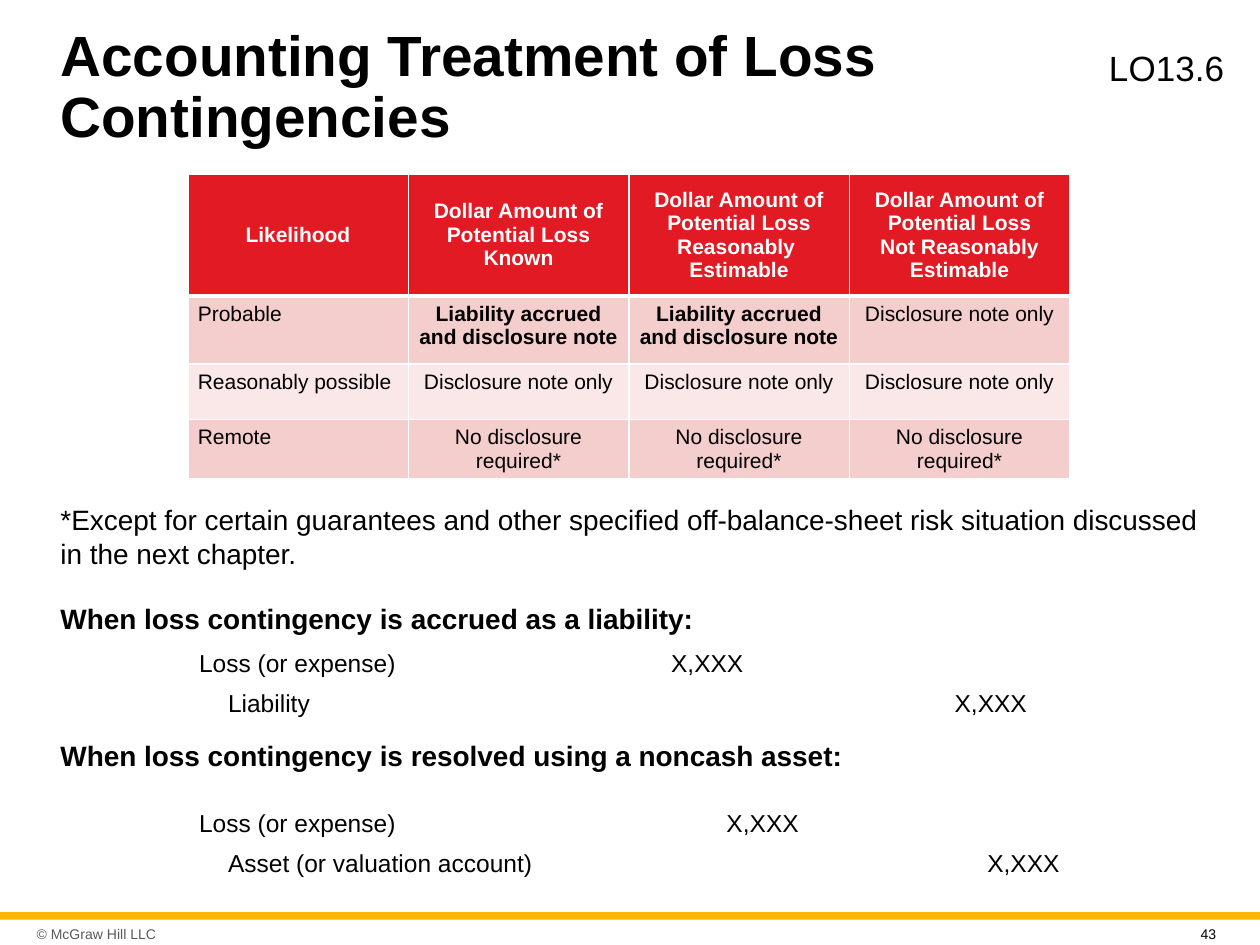
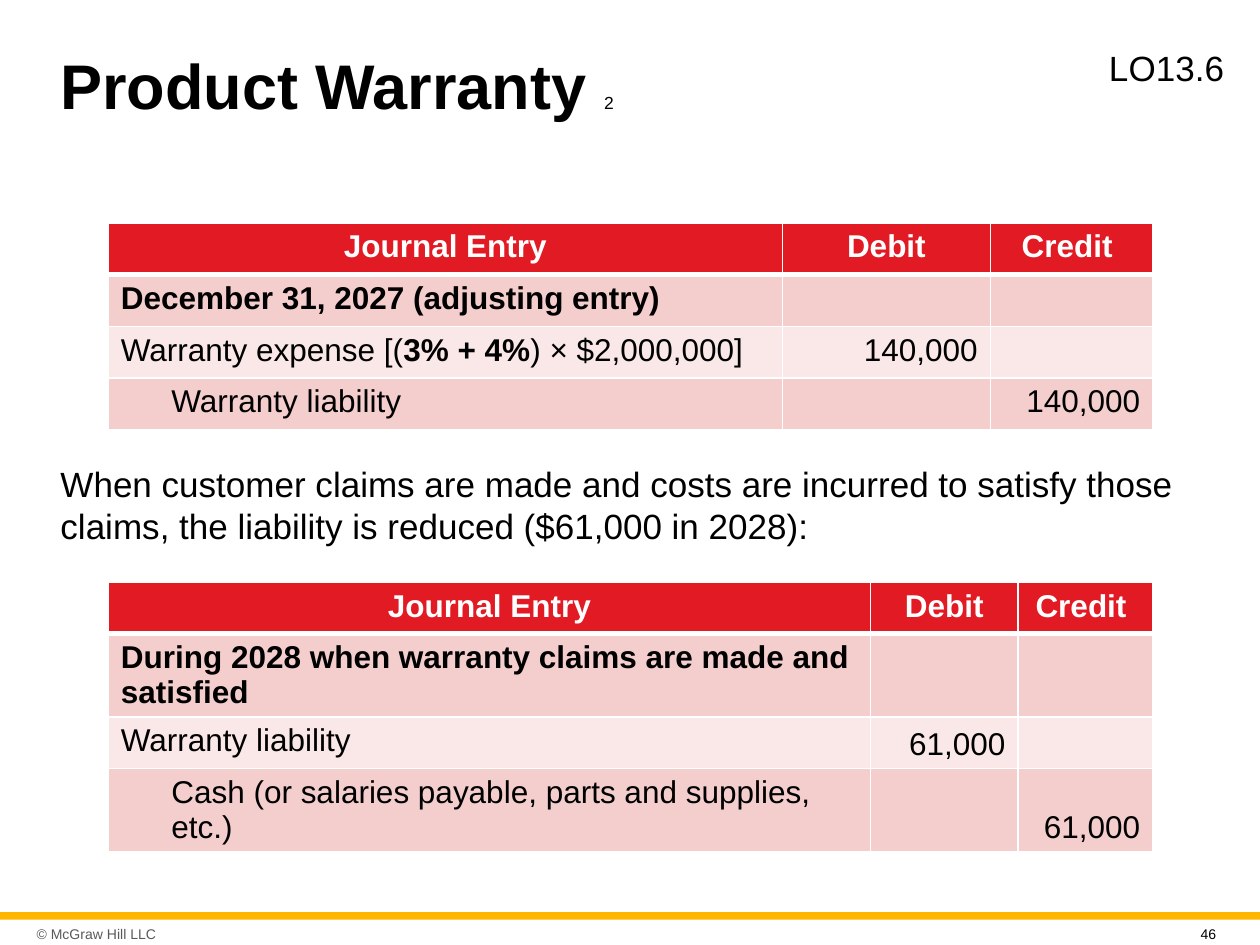
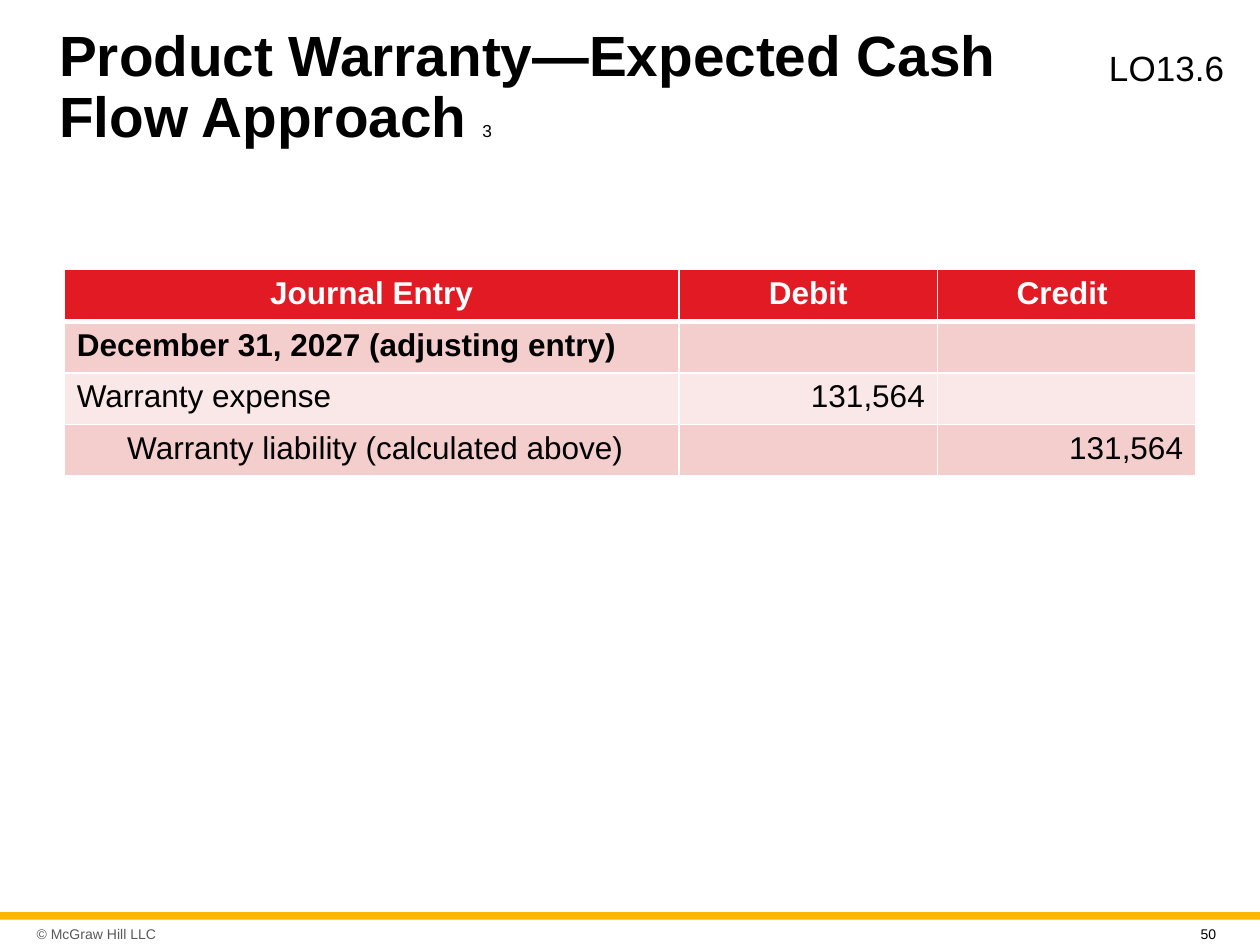
from dataclasses import dataclass
from typing import NamedTuple

from lxml.etree import SubElement
from pptx import Presentation
from pptx.dml.color import RGBColor
from pptx.enum.shapes import MSO_SHAPE
from pptx.enum.text import MSO_ANCHOR as Anchor, MSO_AUTO_SIZE as AutoSize, PP_ALIGN as Align
from pptx.oxml.ns import qn
from pptx.util import Inches, Pt

FONT = "Arial"
BLACK, WHITE, GRAY = "000000", "FFFFFF", "595959"
RED, ROSE, PALE_ROSE, GOLD = "E21A23", "F4CDCD", "FAE8E8", "FFB600"
STANDARD_INSETS = (0.1, 0.05, 0.1, 0.05)
COMPARISON, TWO_CONTENT, TITLE_AND_CONTENT = 4, 3, 1


class Box(NamedTuple):
    left: float
    top: float
    width: float
    height: float


class Run(NamedTuple):
    text: str
    size: float
    bold: bool = False
    color: str = BLACK


@dataclass(frozen=True)
class Entry:
    lines: tuple = ()
    align: Align = Align.LEFT
    anchor: Anchor = Anchor.TOP
    indent: float = 0


@dataclass(frozen=True)
class Grid:
    left: float
    top: float
    columns: tuple
    row_heights: tuple
    entries: list
    fills: tuple = (RED, ROSE, PALE_ROSE, ROSE)
    insets: tuple = STANDARD_INSETS


@dataclass(frozen=True)
class Statement:
    box: Box
    text: str
    size: float
    bold: bool = False


@dataclass(frozen=True)
class Page:
    number: int
    layout: int
    title_box: Box
    title: list
    statements: list
    grids: list


def rgb(color: str) -> RGBColor:
    return RGBColor.from_string(color)


def apply(target, values: dict) -> None:
    for name, value in values.items():
        setattr(target, name, value)


def write(paragraph, runs, **layout) -> None:
    apply(paragraph, {"space_before": Pt(0), **layout})
    for content in runs:
        run = paragraph.add_run()
        run.text = content.text
        apply(run.font, {"name": FONT, "size": Pt(content.size), "bold": content.bold})
        run.font.color.rgb = rgb(content.color)


def place(shape, box: Box) -> None:
    apply(shape, dict(zip(box._fields, map(Inches, box))))


def margins(insets: tuple) -> dict:
    sides = ("margin_left", "margin_top", "margin_right", "margin_bottom")
    return dict(zip(sides, map(Inches, insets)))


def fill_frame(shape, runs, insets=STANDARD_INSETS, anchor=Anchor.TOP, **layout) -> None:
    frame = shape.text_frame
    apply(frame, {"word_wrap": True, "auto_size": AutoSize.NONE,
                  "vertical_anchor": anchor, **margins(insets)})
    write(frame.paragraphs[0], runs, **layout)


def fill_body(placeholder, box: Box, runs, **layout) -> None:
    place(placeholder, box)
    properties = placeholder.text_frame.paragraphs[0]._p.get_or_add_pPr()
    properties.set("marL", "0")
    properties.set("indent", "0")
    SubElement(properties, qn("a:buNone"))
    fill_frame(placeholder, runs, **layout)


def add_label(slide, box: Box, runs, **layout) -> None:
    fill_frame(slide.shapes.add_textbox(*map(Inches, box)), runs, **layout)


def outline(cell, bottom_width: float) -> None:
    properties = cell._tc.get_or_add_tcPr()
    for side, width in (("L", 1), ("R", 1), ("T", 1), ("B", bottom_width)):
        line = SubElement(properties, qn(f"a:ln{side}"), w=str(Pt(width)))
        SubElement(SubElement(line, qn("a:solidFill")), qn("a:srgbClr"), val=WHITE)


def fill_cell(cell, entry: Entry, insets: tuple) -> None:
    apply(cell, {"vertical_anchor": entry.anchor, **margins(insets)})
    frame = cell.text_frame
    for index, runs in enumerate(entry.lines):
        paragraph = frame.add_paragraph() if index else frame.paragraphs[0]
        if entry.indent:
            paragraph._p.get_or_add_pPr().set("marL", str(Inches(entry.indent)))
        write(paragraph, runs, alignment=entry.align)
    if not entry.lines:
        frame.paragraphs[0].font.size = Pt(12)


def add_grid(slide, grid: Grid) -> None:
    box = Box(grid.left, grid.top, sum(grid.columns), sum(grid.row_heights))
    table = slide.shapes.add_table(len(grid.row_heights), len(grid.columns),
                                   *map(Inches, box)).table
    for column, width in zip(table.columns, grid.columns):
        column.width = Inches(width)
    for index, (row, height) in enumerate(zip(table.rows, grid.row_heights)):
        row.height = Inches(height)
        for cell, entry in zip(row.cells, grid.entries[index]):
            outline(cell, 1 if index else 3)
            cell.fill.solid()
            cell.fill.fore_color.rgb = rgb(grid.fills[index])
            fill_cell(cell, entry, grid.insets)


def heading(size: float, *lines: str, anchor=Anchor.TOP) -> Entry:
    return Entry(tuple([Run(line, size, True, WHITE)] for line in lines), Align.CENTER, anchor)


def words(text: str, size: float, bold=False, **layout) -> Entry:
    return Entry(([Run(text, size, bold)],), **layout)


def journal(left: float, top: float, columns: tuple, occasion: str, debit: list,
            credit: str, amount: str, amount_anchor=Anchor.TOP) -> Grid:
    value = words(amount, 18, align=Align.RIGHT, anchor=amount_anchor)
    return Grid(left, top, columns, (0.41,) * 4, [
        [heading(18, name) for name in ("Journal Entry", "Debit", "Credit ")],
        [words(occasion, 18, True), Entry(), Entry()],
        [Entry((debit,)), value, Entry()],
        [words(credit, 18, indent=0.4), Entry(), value],
    ])


def posting(top: float, columns: tuple, credit: str) -> Grid:
    value = words("X,XXX", 14, align=Align.RIGHT)
    return Grid(1.49, top, columns, (0.32, 0.32), [
        [words("Loss (or expense)", 14), value, Entry()],
        [words(credit, 14, indent=0.23), Entry(), value],
    ], (WHITE, WHITE), (0.09, 0.04, 0.09, 0.04))


def treatment() -> Grid:
    loss = "Dollar Amount of Potential Loss"
    headings = [("Likelihood",), (loss, "Known"), (loss, "Reasonably ", "Estimable"),
                (loss, "Not Reasonably Estimable")]
    accrued, disclosed, unneeded = (
        words(text, 12, bold, align=Align.CENTER) for text, bold in (
            ("Liability accrued and disclosure note", True),
            ("Disclosure note only", False),
            ("No disclosure required*", False)))
    return Grid(1.49, 1.38, (1.75,) * 4, (0.97, 0.54, 0.44, 0.44), [
        [heading(12, *lines, anchor=Anchor.MIDDLE) for lines in headings],
        [words("Probable", 12), accrued, accrued, disclosed],
        [words("Reasonably possible", 12)] + [disclosed] * 3,
        [words("Remote", 12)] + [unneeded] * 3,
    ], insets=(0.08, 0.05, 0.08, 0.05))


def add_footer(slide, number: int) -> None:
    band = slide.shapes.add_shape(MSO_SHAPE.RECTANGLE, *map(Inches, Box(0, 7.24, 10, 0.06)))
    band.shadow.inherit = False
    band.fill.solid()
    band.fill.fore_color.rgb = rgb(GOLD)
    band.line.fill.background()
    add_label(slide, Box(0.24, 7.29, 1.35, 0.24), [Run("© McGraw Hill LLC", 8, color=GRAY)],
              insets=(0.05,) * 4, anchor=Anchor.MIDDLE)
    add_label(slide, Box(9.43, 7.3, 0.39, 0.18), [Run(str(number), 8)])


def add_page(deck, page: Page) -> None:
    slide = deck.slides.add_slide(deck.slide_layouts[page.layout])
    title, objective, *bodies = slide.placeholders
    place(title, page.title_box)
    fill_frame(title, page.title, anchor=Anchor.MIDDLE, alignment=Align.LEFT, line_spacing=0.9)
    fill_body(objective, Box(8.7, 0.32, 1.16, 0.41),
              [Run("L", 20), Run(" ", 1), Run("O13.6", 20)],
              insets=(0.1, 0.05, 0, 0.05), alignment=Align.JUSTIFY)
    for body, statement in zip(bodies, page.statements):
        fill_body(body, statement.box, [Run(statement.text, statement.size, statement.bold)],
                  alignment=Align.LEFT)
    for grid in page.grids:
        add_grid(slide, grid)
    add_footer(slide, page.number)


PAGES = [
    Page(43, COMPARISON, Box(0.38, 0.21, 7.88, 0.99),
         [Run("Accounting Treatment of Loss Contingencies", 32.4, True)],
         [Statement(Box(0.38, 3.94, 9.25, 0.59),
                    "*Except for certain guarantees and other specified off-balance-sheet "
                    "risk situation discussed in the next chapter.", 16),
          Statement(Box(0.38, 4.72, 9.25, 0.38),
                    "When loss contingency is accrued as a liability:", 16, True),
          Statement(Box(0.38, 5.81, 9.25, 0.36),
                    "When loss contingency is resolved using a noncash asset:", 16, True)],
         [treatment(),
          posting(5.12, (2.25, 2.25, 2.25), "Liability"),
          posting(6.39, (2.87, 2.07, 2.07), "Asset (or valuation account)")]),
    Page(46, TWO_CONTENT, Box(0.38, 0.21, 6.67, 0.99),
         [Run("Product Warranty ", 36, True), Run("2", 10)],
         [Statement(Box(0.38, 3.62, 9.25, 0.78),
                    "When customer claims are made and costs are incurred to satisfy those "
                    "claims, the liability is reduced ($61,000 in 2028):", 20)],
         [journal(0.86, 1.77, (5.35, 1.65, 1.29), "December 31, 2027 (adjusting entry)",
                  [Run("Warranty expense [(", 18), Run("3% + 4%", 18, True),
                   Run(") × $2,000,000]", 18)],
                  "Warranty liability", "140,000"),
          journal(0.86, 4.62, (6.05, 1.17, 1.07),
                  "During 2028 when warranty claims are made and satisfied",
                  [Run("Warranty liability", 18)],
                  "Cash (or salaries payable, parts and supplies, etc.)", "61,000",
                  Anchor.BOTTOM)]),
    Page(50, TITLE_AND_CONTENT, Box(0.37, 0.21, 7.92, 0.99),
         [Run("Product Warranty—Expected Cash Flow Approach ", 32.4, True), Run("3", 9.9)],
         [],
         [journal(0.51, 2.14, (4.88, 2.05, 2.05), "December 31, 2027 (adjusting entry)",
                  [Run("Warranty expense", 18)],
                  "Warranty liability (calculated above)", "131,564")]),
]


def main() -> None:
    deck = Presentation()
    apply(deck, {"slide_width": Inches(10), "slide_height": Inches(7.5)})
    for page in PAGES:
        add_page(deck, page)
    deck.save("out.pptx")


if __name__ == "__main__":
    main()
